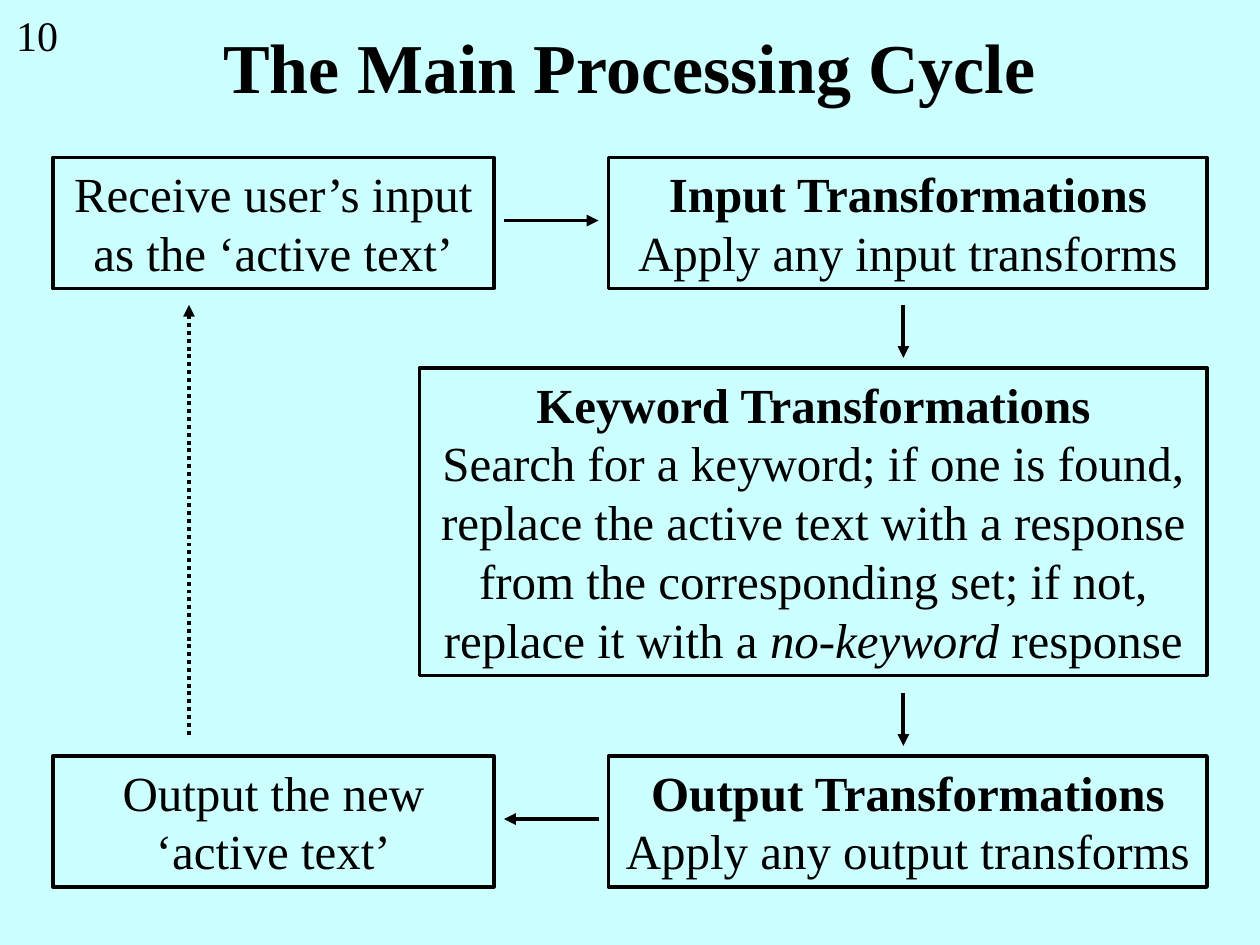
from lxml import etree
from pptx import Presentation
from pptx import util as u
from pptx.dml.color import RGBColor
from pptx.enum import dml, shapes, text
from pptx.oxml.ns import qn

FONT = "Times New Roman"
INK = "000000"
PAPER = "CCFFFF"


def tint(part, color):
    """Give a fill, or a font or line colour, its hex colour."""
    part.rgb = RGBColor.from_string(color)


def write(frame, paras, size=28, bold=False, align=text.PP_ALIGN.CENTER,
          anchor=text.MSO_ANCHOR.TOP, wrap=True):
    """Fill a frame; each paragraph is a list of (words, style) runs."""
    frame.word_wrap = wrap
    frame.auto_size = text.MSO_AUTO_SIZE.NONE
    frame.vertical_anchor = anchor
    for i, runs in enumerate(paras):
        para = frame.paragraphs[0] if i == 0 else frame.add_paragraph()
        para.alignment = align
        for words, style in runs:
            run = para.add_run()
            run.text = words
            run.font.name = FONT
            run.font.size = u.Pt(size)
            run.font.bold = bold or style == "bold"
            run.font.italic = style == "italic"
            tint(run.font.color, INK)


def head(slide, box, words):
    title = slide.shapes.title
    title.left, title.top, title.width, title.height = map(u.Inches, box)
    write(title.text_frame, [[(words, "")]], size=40, bold=True,
          anchor=text.MSO_ANCHOR.MIDDLE)


def number(slide, box, words):
    note = slide.shapes.add_textbox(*map(u.Inches, box))
    write(note.text_frame, [[(words, "")]], size=24,
          align=text.PP_ALIGN.LEFT, wrap=False)


def step(slide, box, paras):
    rect = slide.shapes.add_shape(shapes.MSO_SHAPE.RECTANGLE,
                                  *map(u.Inches, box))
    rect.shadow.inherit = False
    rect.fill.background()
    tint(rect.line.color, INK)
    rect.line.width = u.Pt(2)
    write(rect.text_frame, paras)


def arrow(slide, start, end, dash=None):
    link = slide.shapes.add_connector(shapes.MSO_CONNECTOR.STRAIGHT,
                                      *map(u.Inches, start + end))
    tint(link.line.color, INK)
    link.line.width = u.Pt(2.25)
    if dash:
        link.line.dash_style = dash
    props = link._element.spPr
    etree.SubElement(props.find(qn("a:ln")), qn("a:tailEnd"), type="triangle")
    etree.SubElement(props, qn("a:effectLst"))


def cycle(slide, box):
    """Draw the five steps and the arrows that lead round them."""
    x, y, w, h = box
    tall, thin, wide = 1.04, 3.5, 4.75
    right, low = x + w - wide, y + h - tall
    mid = y + 1.67

    step(slide, (x, y, thin, tall),
         [[("Receive user’s input as the ‘active text’", "")]])
    step(slide, (right, y, wide, tall),
         [[("Input Transformations", "bold")],
          [("Apply any input transforms", "")]])
    step(slide, (x + w - 6.25, mid, 6.25, 2.44),
         [[("Keyword Transformations", "bold")],
          [("Search for a keyword; if one is found, replace the active text "
            "with a response from the corresponding set; if not, replace it "
            "with a ", ""),
           ("no-keyword", "italic"), (" response", "")]])
    step(slide, (right, low, wide, tall),
         [[("Output Transformations", "bold")],
          [("Apply any output transforms", "")]])
    step(slide, (x, low, thin, tall),
         [[("Output the new ‘active text’", "")]])

    near, far = x + thin + 0.08, right - 0.08
    down, back = x + 6.75, x + 1.08
    arrow(slide, (near, y + 0.5), (far, y + 0.5))
    arrow(slide, (far, low + 0.5), (near, low + 0.5))
    for top in (y + 1.17, low - 0.5):
        arrow(slide, (down, top), (down, top + 0.42))
    arrow(slide, (back, low - 0.17), (back, y + 1.17),
          dash=dml.MSO_LINE.ROUND_DOT)


def main():
    deck = Presentation()
    deck.slide_width, deck.slide_height = u.Inches(10), u.Inches(7.5)
    slide = deck.slides.add_slide(deck.slide_layouts[5])
    slide.background.fill.solid()
    tint(slide.background.fill.fore_color, PAPER)
    number(slide, (0.03, 0.03, 0.56, 0.5), "10")
    head(slide, (0.33, 0.2, 9.33, 0.64), "The Main Processing Cycle")
    cycle(slide, (0.42, 1.25, 9.16, 5.79))
    deck.save("out.pptx")


if __name__ == "__main__":
    main()
